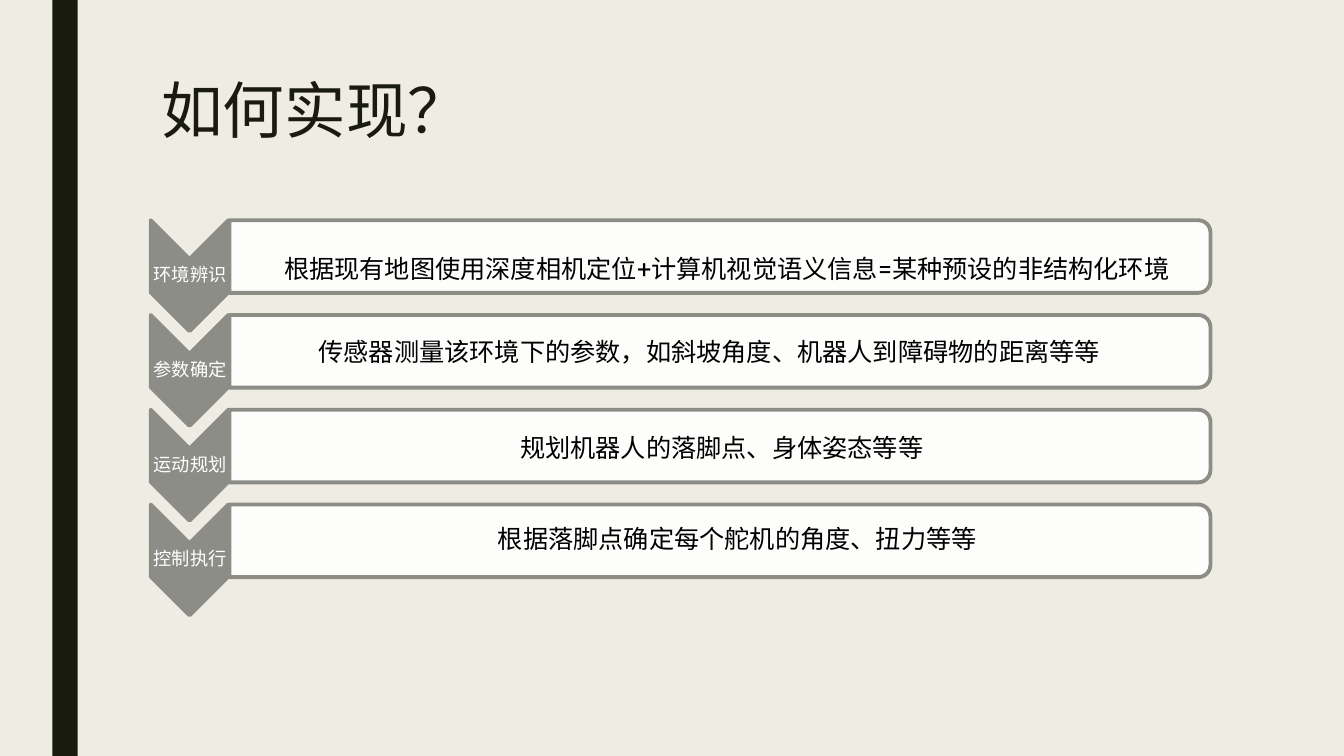
from dataclasses import dataclass

from lxml.etree import SubElement
from pptx import Presentation
from pptx.dml.color import RGBColor
from pptx.enum.lang import MSO_LANGUAGE_ID as Lang
from pptx.enum.shapes import MSO_SHAPE as Shape
from pptx.enum.text import MSO_ANCHOR as Anchor, MSO_AUTO_SIZE as AutoSize, PP_ALIGN as Align
from pptx.oxml.ns import qn
from pptx.util import Inches, Pt


@dataclass(frozen=True)
class Theme:
    font: str = "Roboto"
    background: RGBColor = RGBColor.from_string("EFEDE3")
    dark: RGBColor = RGBColor.from_string("191B0E")
    grey: RGBColor = RGBColor.from_string("8C8D86")
    white: RGBColor = RGBColor.from_string("FFFFFF")
    black: RGBColor = RGBColor.from_string("000000")
    title_size: float = 44
    label_size: float = 13
    detail_size: float = 18
    outline: float = 2.75


THEME = Theme()
PITCH = 0.94  # distance between steps

# Step label, its detail, and the left and top of the detail text
STEPS = [
    ("环境辨识", "根据现有地图使用深度相机定位+计算机视觉语义信息=某种预设的非结构化环境", 2.72, 2.46, 9.24),
    ("参数确定", "传感器测量该环境下的参数，如斜坡角度、机器人到障碍物的距离等等", 3.06, 3.29, 8.25),
    ("运动规划", "规划机器人的落脚点、身体姿态等等", 5.06, 4.24, 4.24),
    ("控制执行", "根据落脚点确定每个舵机的角度、扭力等等", 4.84, 5.14, 5),
]


def write(frame, text, size, color, spacing=None, align=Align.LEFT, **frame_format):
    for name, value in frame_format.items():
        setattr(frame, name, value)
    line = frame.paragraphs[0]
    line.alignment = align
    line.line_spacing = spacing
    run = line.add_run()
    run.text = text
    font_format = {"name": THEME.font, "size": Pt(size),
                   "language_id": Lang.SIMPLIFIED_CHINESE}
    for name, value in font_format.items():
        setattr(run.font, name, value)
    run.font.color.rgb = color


def add_block(shapes, kind, box, fill, outlined=True, rotation=0, opacity=100):
    block = shapes.add_shape(kind, *map(Inches, box))
    block.shadow.inherit = False
    block.rotation = rotation
    block.fill.solid()
    block.fill.fore_color.rgb = fill
    if opacity < 100:
        color = block.fill._xPr.find(qn("a:solidFill"))[0]
        SubElement(color, qn("a:alpha"), val=str(opacity * 1000))
    if outlined:
        block.line.color.rgb = THEME.grey
        block.line.width = Pt(THEME.outline)
    else:
        block.line.fill.background()


def add_text(shapes, box, *content, **style):
    frame = shapes.add_textbox(*map(Inches, box)).text_frame
    write(frame, *content, **style)


def add_title(slide, text):
    title = slide.shapes.title
    title.left, title.top, title.width, title.height = map(Inches, (1.5, 0.75, 10.5, 1.62))
    write(title.text_frame, text, THEME.title_size, THEME.dark, spacing=0.89,
          vertical_anchor=Anchor.TOP, word_wrap=True, auto_size=AutoSize.NONE)


def add_step(shapes, label, offset):
    add_block(shapes, Shape.CHEVRON, (1.33, 2.35 + offset, 1.1, 0.77),
              THEME.grey, rotation=90)
    margins = {f"margin_{side}": Inches(0.01) for side in ("left", "top", "right", "bottom")}
    add_text(shapes, (1.5, 2.57 + offset, 0.77, 0.33), label, THEME.label_size,
             THEME.white, spacing=0.9, align=Align.CENTER,
             vertical_anchor=Anchor.MIDDLE, word_wrap=True, **margins)
    add_block(shapes, Shape.ROUND_2_SAME_RECTANGLE, (6.78, -2.32 + offset, 0.72, 9.73),
              THEME.white, rotation=90, opacity=90)


def main():
    deck = Presentation()
    deck.slide_width, deck.slide_height = Inches(13.33), Inches(7.5)
    slide = deck.slides.add_slide(deck.slide_layouts[5])
    slide.background.fill.solid()
    slide.background.fill.fore_color.rgb = THEME.background

    # Side band and title
    add_block(slide.shapes, Shape.RECTANGLE, (0.52, 0, 0.25, 7.5), THEME.dark, outlined=False)
    add_title(slide, "如何实现？")

    # Chevron list
    chevron_list = slide.shapes.add_group_shape().shapes
    for index, (label, *_) in enumerate(STEPS):
        add_step(chevron_list, label, index * PITCH)

    # Details over the bars
    for _, detail, left, top, width in STEPS:
        add_text(slide.shapes, (left, top, width, 0.4), detail, THEME.detail_size,
                 THEME.black, word_wrap=False, auto_size=AutoSize.SHAPE_TO_FIT_TEXT)

    deck.save("out.pptx")


if __name__ == "__main__":
    main()
